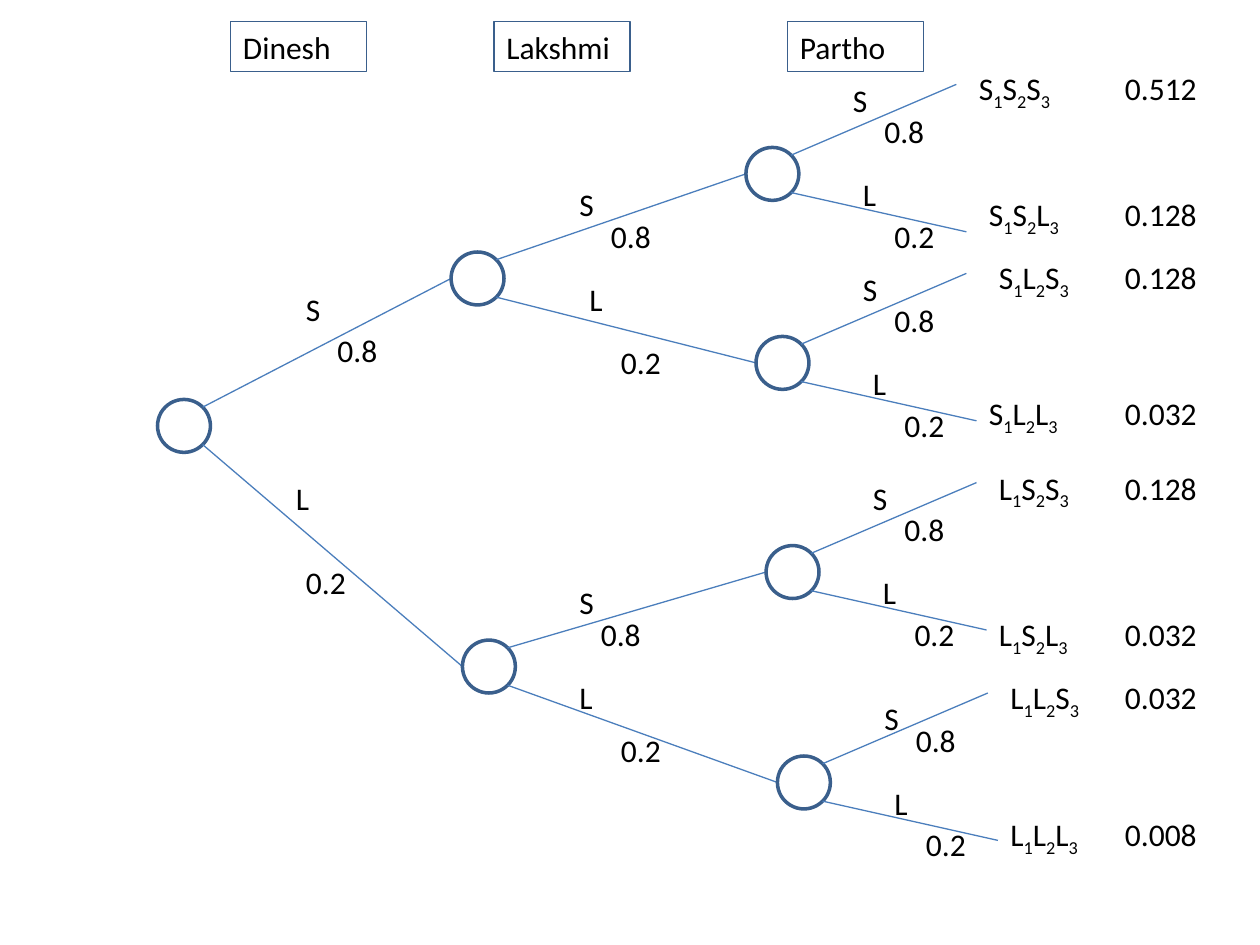
from math import prod, sqrt

from pptx import Presentation
from pptx.dml.color import RGBColor
from pptx.enum.shapes import MSO_CONNECTOR, MSO_SHAPE
from pptx.enum.text import MSO_ANCHOR, MSO_AUTO_SIZE, PP_ALIGN
from pptx.oxml.ns import qn
from pptx.util import Inches, Pt
from lxml import etree

STRAIGHT = MSO_CONNECTOR.STRAIGHT
OVAL, RECTANGLE = MSO_SHAPE.OVAL, MSO_SHAPE.RECTANGLE
LEFT, TOP = PP_ALIGN.LEFT, MSO_ANCHOR.TOP
FIT_SHAPE = MSO_AUTO_SIZE.SHAPE_TO_FIT_TEXT

COLORS = {"outline": "3A5F8C", "branch": "4B7EBC", "text": "000000"}
FONT, TEXT_SIZE = "Calibri", 18
DIAMETER, TEXT_HEIGHT = 0.42, 0.4
PROBABILITIES = {"S": 0.8, "L": 0.2}

HEADERS = [("Dinesh", 1.83), ("Lakshmi", 3.92), ("Partho", 6.25)]

# Each node is keyed by the outcomes that lead to it
NODES = {
    "": (1.25, 3.17),
    "S": (3.58, 2), "L": (3.67, 5.08),
    "SS": (5.92, 1.17), "SL": (6, 2.67), "LS": (6.08, 4.33), "LL": (6.17, 6),
}
# Each branch: position of its letter, position of its probability
BRANCH_LABELS = {
    "S": ((2.33, 2.25), (2.58, 2.58)),
    "L": ((2.25, 3.75), (2.33, 4.42)),
    "SS": ((4.5, 1.42), (4.75, 1.67)),
    "SL": ((4.58, 2.17), (4.83, 2.67)),
    "LS": ((4.5, 4.58), (4.67, 4.83)),
    "LL": ((4.5, 5.33), (4.83, 5.75)),
}
# Last stage, relative to the node: branch end, letter, probability
LAST_STAGE = {
    "S": ((1.67, -0.5), (0.75, -0.58), (1, -0.33)),
    "L": ((1.75, 0.67), (0.83, 0.17), (1.08, 0.5)),
}
LETTER_NUDGES = {"LLS": 0.08}
OUTCOMES = {
    "SSS": (7.67, 0.5), "SSL": (7.75, 1.5), "SLS": (7.83, 2), "SLL": (7.75, 3.08),
    "LSS": (7.83, 3.67), "LSL": (7.83, 4.83), "LLS": (7.92, 5.33), "LLL": (7.92, 6.42),
}
RESULT_LEFT = 8.83


def color(name):
    """Return a named colour."""
    return RGBColor.from_string(COLORS[name])


def write_runs(shape, runs):
    """Write (text, is_subscript) runs into a shape."""
    frame = shape.text_frame
    frame.word_wrap = True
    frame.auto_size = FIT_SHAPE
    frame.vertical_anchor = TOP
    paragraph = frame.paragraphs[0]
    paragraph.alignment = LEFT
    for text, is_subscript in runs:
        run = paragraph.add_run()
        run.text = text
        run.font.name = FONT
        run.font.size = Pt(TEXT_SIZE)
        run.font.color.rgb = color("text")
        if is_subscript:
            run.font._element.set("baseline", "-25000")


def add_label(slide, position, width, runs):
    """Add a text box."""
    left, top = position
    box = slide.shapes.add_textbox(Inches(left), Inches(top), Inches(width), Inches(TEXT_HEIGHT))
    write_runs(box, runs)


def add_outline(slide, kind, left, top, width, height, line_width):
    """Add an unfilled outlined shape."""
    shape = slide.shapes.add_shape(kind, Inches(left), Inches(top), Inches(width), Inches(height))
    shape.shadow.inherit = False
    shape.fill.background()
    shape.line.color.rgb = color("outline")
    shape.line.width = Pt(line_width)
    return shape


def add_branch(slide, start, end):
    """Add a plain line between two points."""
    points = [Inches(value) for value in (*start, *end)]
    line = slide.shapes.add_connector(STRAIGHT, *points)
    line.line.color.rgb = color("branch")
    line.line.width = Pt(0.75)
    etree.SubElement(line._element.spPr, qn("a:effectLst"))


def branch_layout(node, outcome):
    """Return the end, letter and probability positions of a branch."""
    branch = node + outcome
    if branch in NODES:
        left, top = NODES[branch]
        return ((left, top + DIAMETER / 2), *BRANCH_LABELS[branch])
    left, top = NODES[node]
    end, letter, probability = [(left + x, top + y) for x, y in LAST_STAGE[outcome]]
    letter = (letter[0], letter[1] + LETTER_NUDGES.get(branch, 0))
    return end, letter, probability


def add_node(slide, node):
    """Add a node with its two labelled branches."""
    left, top = NODES[node]
    add_outline(slide, OVAL, left, top, DIAMETER, DIAMETER, 2)
    radius = DIAMETER / 2
    diagonal = radius / sqrt(2)
    for outcome, side in (("S", -1), ("L", 1)):
        end, letter, probability = branch_layout(node, outcome)
        start = (left + radius + diagonal, top + radius + side * diagonal)
        add_branch(slide, start, end)
        add_label(slide, letter, 0.33, [(outcome, False)])
        add_label(slide, probability, 0.58, [(str(PROBABILITIES[outcome]), False)])


presentation = Presentation()
presentation.slide_width, presentation.slide_height = Inches(10), Inches(7.5)
slide = presentation.slides.add_slide(presentation.slide_layouts[6])

for node in NODES:
    add_node(slide, node)

for name, left in HEADERS:
    write_runs(add_outline(slide, RECTANGLE, left, 0.17, 1.08, TEXT_HEIGHT, 0.75), [(name, False)])

for outcomes, (left, top) in OUTCOMES.items():
    result = prod(PROBABILITIES[letter] for letter in outcomes)
    add_label(slide, (RESULT_LEFT, top), 1, [(f"{result:.3f}", False)])
    runs = []
    for stage, letter in enumerate(outcomes, start=1):
        runs += [(letter, False), (str(stage), True)]
    add_label(slide, (left, top), 1, runs)

presentation.save("out.pptx")
